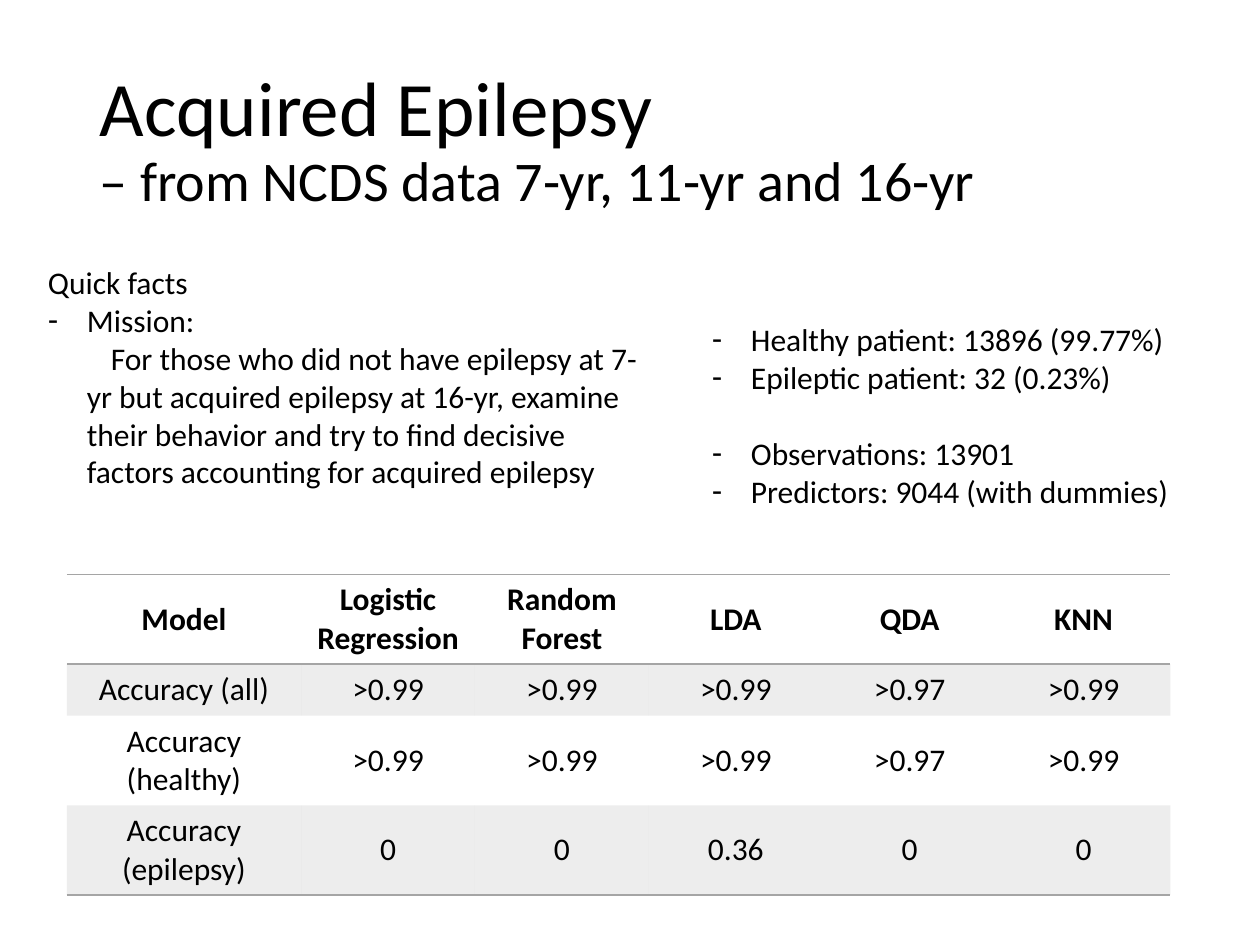
from pptx import Presentation
from pptx.dml.color import RGBColor
from pptx.enum.text import MSO_ANCHOR, MSO_AUTO_SIZE, PP_ALIGN
from pptx.oxml.ns import qn
from pptx.util import Inches, Pt
from lxml import etree

LEFT, CENTER = PP_ALIGN.LEFT, PP_ALIGN.CENTER
TOP, MIDDLE = MSO_ANCHOR.TOP, MSO_ANCHOR.MIDDLE
NO_FIT = MSO_AUTO_SIZE.NONE

THEME = {
    "font": "Calibri", "ink": "000000", "gray": "A5A5A5",
    "title": 44, "sub": 32, "body": 18, "line": 1, "alpha": 20,
}

# Content
TITLE = ("Acquired Epilepsy", "– from NCDS data 7-yr, 11-yr and 16-yr")
# Each list item: text, has a dash, points of space after
FACTS = [
    ("Quick facts", False, 0),
    ("Mission: \v\tFor those who did not have epilepsy at 7-yr but acquired "
     "epilepsy at 16-yr, examine their behavior and try to find decisive "
     "factors accounting for acquired epilepsy", True, 0),
]
COUNTS = [
    ("Healthy patient: 13896 (99.77%)", True, 0),
    ("Epileptic patient: 32 (0.23%)", True, 22),
    ("Observations: 13901", True, 0),
    ("Predictors: 9044 (with dummies)", True, 0),
]
SCORES = [
    ("Model", "Logistic Regression", "Random Forest", "LDA", "QDA", "KNN"),
    ("Accuracy (all)", ">0.99", ">0.99", ">0.99", ">0.97", ">0.99"),
    ("Accuracy (healthy)", ">0.99", ">0.99", ">0.99", ">0.97", ">0.99"),
    ("Accuracy (epilepsy)", "0", "0", "0.36", "0", "0"),
]
WIDTHS = [1.86] + [1.38] * 5
HEIGHTS = [0.7, 0.41, 0.7, 0.7]


def style(font, size, bold=False):
    font.name, font.size, font.bold = THEME["font"], Pt(size), bold
    font.color.rgb = RGBColor.from_string(THEME["ink"])


def place(shape, left, top, width, height, anchor):
    shape.left, shape.top = Inches(left), Inches(top)
    shape.width, shape.height = Inches(width), Inches(height)
    frame = shape.text_frame
    frame.word_wrap, frame.auto_size = True, NO_FIT
    frame.vertical_anchor = anchor
    return frame


def add_list(frame, items):
    for i, (text, dash, gap) in enumerate(items):
        para = frame.paragraphs[0] if i == 0 else frame.add_paragraph()
        para.text, para.alignment = text, LEFT
        para.space_before, para.space_after = Pt(0), Pt(gap)
        style(para.font, THEME["body"])
        props = para._p.get_or_add_pPr()
        indent = Inches(0.31) if dash else 0
        props.set("marL", str(indent))
        props.set("indent", str(-indent))
        bullet = etree.Element(qn("a:buChar" if dash else "a:buNone"))
        if dash:
            bullet.set("char", "-")
        props.find(qn("a:defRPr")).addprevious(bullet)


def add_edge(cell, side, shown):
    line = etree.SubElement(cell._tc.get_or_add_tcPr(), qn("a:ln" + side))
    if shown:
        line.set("w", str(Pt(THEME["line"])))
        fill = etree.SubElement(line, qn("a:solidFill"))
        etree.SubElement(fill, qn("a:srgbClr"), val=THEME["gray"])
    else:
        line.set("w", "0")
        etree.SubElement(line, qn("a:noFill"))


def shade(cell):
    cell.fill.solid()
    cell.fill.fore_color.rgb = RGBColor.from_string(THEME["gray"])
    color = cell._tc.tcPr.find(qn("a:solidFill")).find(qn("a:srgbClr"))
    etree.SubElement(color, qn("a:alpha"), val=str(THEME["alpha"] * 1000))


def add_scores(slide):
    table = slide.shapes.add_table(
        len(SCORES), len(WIDTHS), Inches(0.53), Inches(4.56),
        Inches(sum(WIDTHS)), Inches(sum(HEIGHTS))).table
    table.first_row = table.horz_banding = False
    for col, width in zip(table.columns, WIDTHS):
        col.width = Inches(width)
    last = len(SCORES) - 1
    for r, row in enumerate(SCORES):
        table.rows[r].height = Inches(HEIGHTS[r])
        edges = {"L": False, "R": False, "T": r in (0, 1), "B": r in (0, last)}
        for c, text in enumerate(row):
            cell = table.cell(r, c)
            cell.text, cell.vertical_anchor = text, MIDDLE
            para = cell.text_frame.paragraphs[0]
            para.alignment = CENTER
            style(para.font, THEME["body"], bold=r == 0)
            for side, shown in edges.items():
                add_edge(cell, side, shown)
            if r % 2:
                shade(cell)
            else:
                cell.fill.background()


def main():
    deck = Presentation()
    deck.slide_width, deck.slide_height = Inches(10), Inches(7.5)
    slide = deck.slides.add_slide(deck.slide_layouts[3])
    title, left, right = list(slide.placeholders)[:3]

    # Title with a smaller second line
    para = place(title, 0.69, 0.4, 8.62, 1.45, MIDDLE).paragraphs[0]
    para.alignment, para.line_spacing = LEFT, 0.9
    for i, (text, size) in enumerate(zip(TITLE, ("title", "sub"))):
        if i:
            para.add_line_break()
        run = para.add_run()
        run.text = text
        style(run.font, THEME[size])

    # Lists
    add_list(place(left, 0.28, 2.04, 4.97, 2.52, TOP), FACTS)
    add_list(place(right, 5.55, 2.49, 4.21, 1.62, TOP), COUNTS)

    # Model scores
    add_scores(slide)
    deck.save("out.pptx")


if __name__ == "__main__":
    main()
